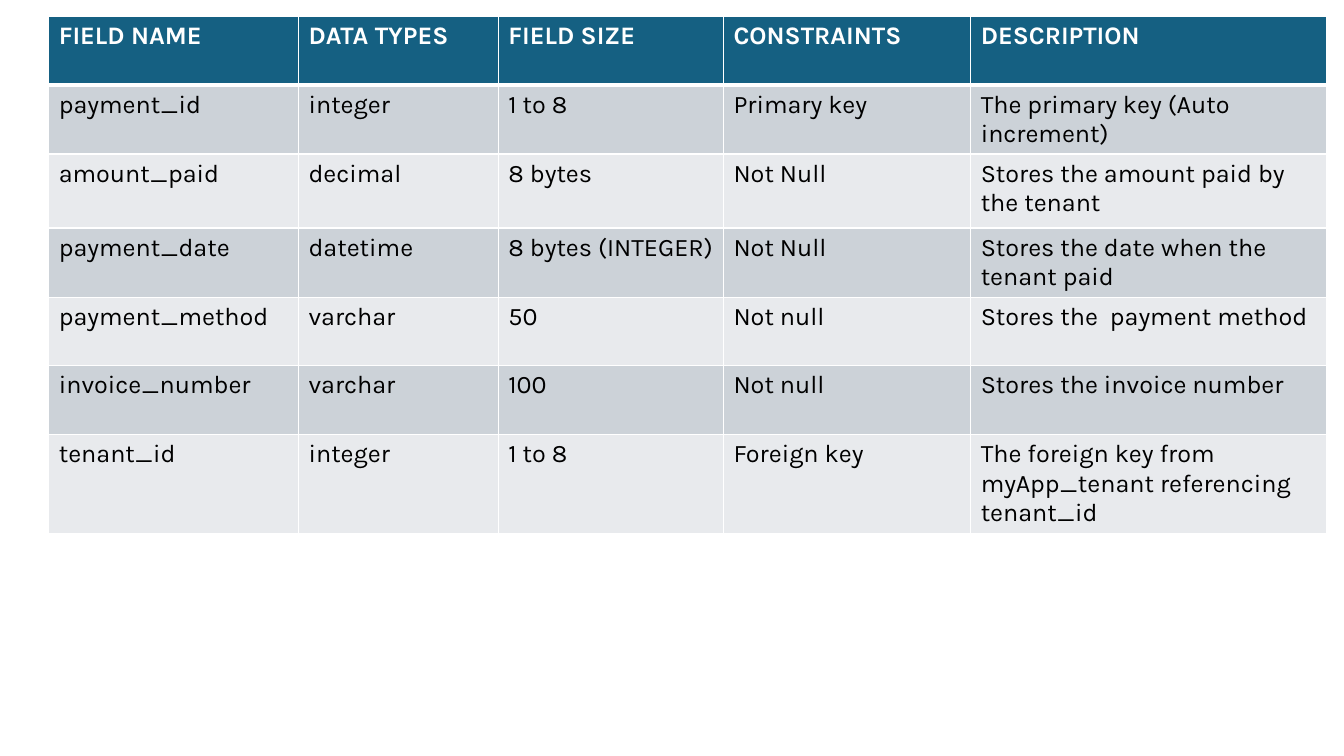
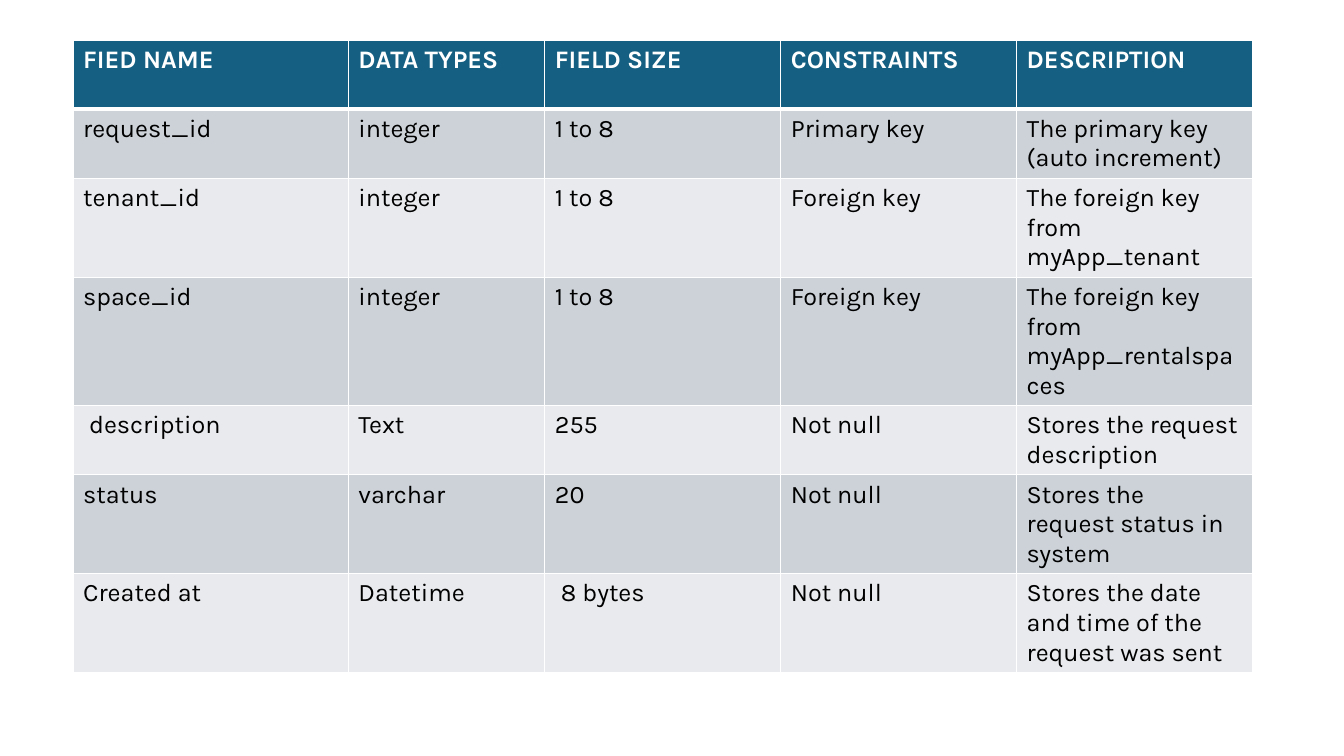
from lxml.etree import SubElement
from pptx import Presentation
from pptx.dml.color import RGBColor
from pptx.oxml.ns import qn
from pptx.util import Pt

COLORS = {
    "header": "156082",
    "band_dark": "CCD2D8",
    "band_light": "E8EAED",
    "white": "FFFFFF",
    "text": "000000",
}


class DictionaryDeck:
    font_name = "Karla"
    font_size = 18
    row_height = 49
    thin_line = 1
    header_line = 3

    def __init__(self):
        self.deck = Presentation()
        self.deck.slide_width = Pt(960)
        self.deck.slide_height = Pt(540)
        self.page = None

    def color(self, name):
        return RGBColor.from_string(COLORS[name])

    def add_page(self):
        self.page = self.deck.slides.add_slide(self.deck.slide_layouts[6])
        background = self.page.background.fill
        background.solid()
        background.fore_color.rgb = self.color("white")

    def add_table(self, left, top, widths, records, tall_rows=None):
        tall_rows = tall_rows or {}
        heights = [tall_rows.get(index, self.row_height) for index in range(len(records))]
        frame = self.page.shapes.add_table(
            len(records), len(widths), Pt(left), Pt(top), Pt(sum(widths)), Pt(sum(heights))
        )
        table = frame.table
        table.horz_banding = False
        for column, width in zip(table.columns, widths):
            column.width = Pt(width)
        for row_index, record in enumerate(records):
            table.rows[row_index].height = Pt(heights[row_index])
            for column_index, text in enumerate(record):
                self.format_cell(table.cell(row_index, column_index), row_index, text)

    def format_cell(self, cell, row_index, text):
        is_header = row_index == 0
        self.add_borders(cell, row_index)
        if is_header:
            fill_name = "header"
        else:
            fill_name = "band_dark" if row_index % 2 else "band_light"
        cell.fill.solid()
        cell.fill.fore_color.rgb = self.color(fill_name)
        span = cell.text_frame.paragraphs[0].add_run()
        span.text = text
        span.font.name = self.font_name
        span.font.size = Pt(self.font_size)
        span.font.bold = is_header
        span.font.color.rgb = self.color("white" if is_header else "text")

    def add_borders(self, cell, row_index):
        widths = {
            "lnL": self.thin_line,
            "lnR": self.thin_line,
            "lnT": self.header_line if row_index == 1 else self.thin_line,
            "lnB": self.header_line if row_index == 0 else self.thin_line,
        }
        properties = cell._tc.get_or_add_tcPr()
        for side, width in widths.items():
            line = SubElement(properties, qn(f"a:{side}"), w=str(int(Pt(width))))
            fill = SubElement(line, qn("a:solidFill"))
            SubElement(fill, qn("a:srgbClr"), val=COLORS["white"])

    def save(self):
        self.deck.save("out.pptx")


SHARED_HEADINGS = ("DATA TYPES", "FIELD SIZE", "CONSTRAINTS", "DESCRIPTION")

PAYMENT_FIELDS = [
    ("FIELD NAME", *SHARED_HEADINGS),
    ("payment_id", "integer", "1 to 8", "Primary key", "The primary key (Auto increment)"),
    ("amount_paid", "decimal", "8 bytes", "Not Null", "Stores the amount paid by the tenant"),
    ("payment_date", "datetime", "8 bytes (INTEGER)", "Not Null",
     "Stores the date when the tenant paid"),
    ("payment_method", "varchar", "50", "Not null", "Stores the  payment method"),
    ("invoice_number", "varchar", "100", "Not null", "Stores the invoice number"),
    ("tenant_id", "integer", "1 to 8", "Foreign key",
     "The foreign key from myApp_tenant referencing tenant_id"),
]

REQUEST_FIELDS = [
    ("FIED NAME", *SHARED_HEADINGS),
    ("request_id", "integer", "1 to 8", "Primary key", "The primary key (auto increment)"),
    ("tenant_id", "integer", "1 to 8", "Foreign key", "The foreign key from myApp_tenant"),
    ("space_id", "integer", "1 to 8", "Foreign key", "The foreign key from myApp_rentalspaces"),
    (" description", "Text", "255", "Not null", "Stores the request description"),
    ("status", "varchar", "20", "Not null", "Stores the  request status in system"),
    ("Created at", "Datetime", " 8 bytes", "Not null",
     "Stores the date and time of the request was sent"),
]


def main():
    builder = DictionaryDeck()
    builder.add_page()
    builder.add_table(
        34.8, 11.6, [178.4, 142.8, 160.8, 176.6, 253.9], PAYMENT_FIELDS, tall_rows={2: 52.8}
    )
    builder.add_page()
    builder.add_table(52.2, 29, [196.6, 140.4] + [168.5] * 3, REQUEST_FIELDS)
    builder.save()


if __name__ == "__main__":
    main()
